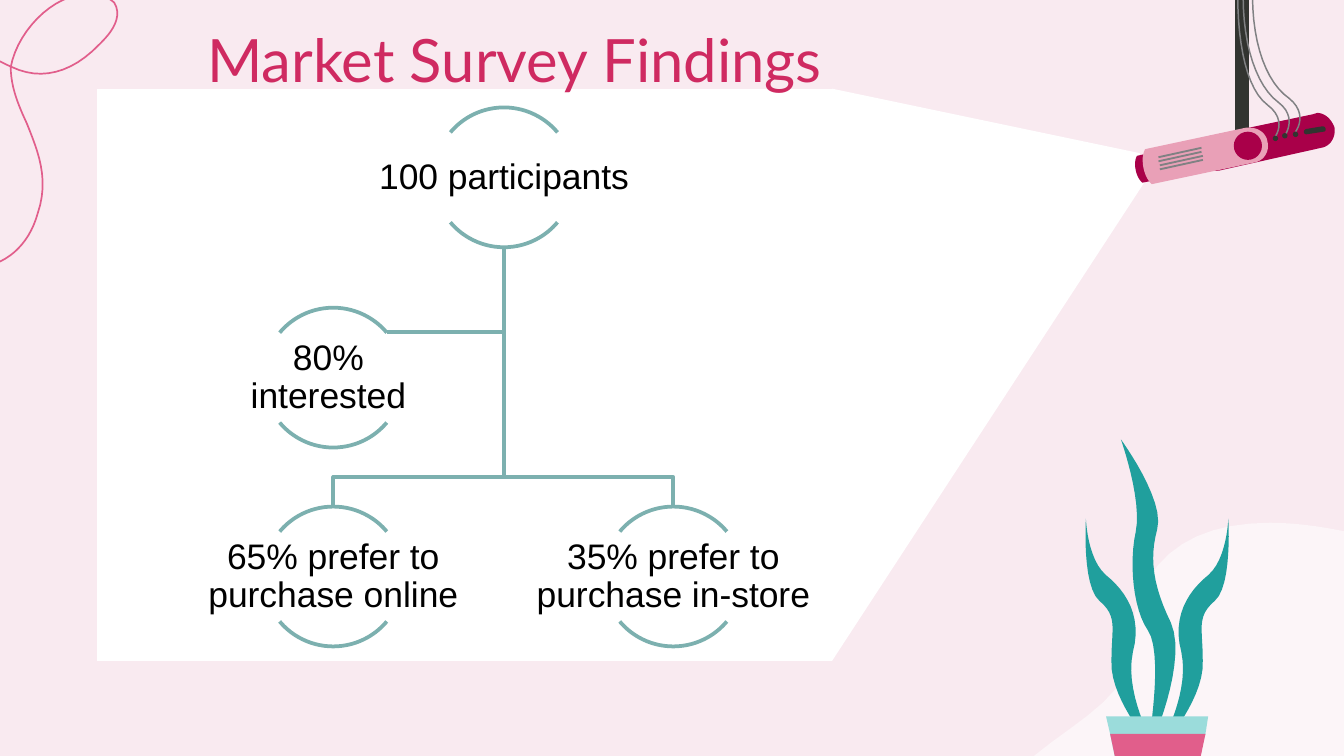
from dataclasses import dataclass

from lxml import etree
from pptx import Presentation
from pptx.dml.color import RGBColor
from pptx.enum.shapes import MSO_CONNECTOR, MSO_SHAPE
from pptx.enum.text import MSO_ANCHOR, PP_ALIGN
from pptx.oxml.ns import qn
from pptx.util import Inches, Pt

ARC, OVAL, STRAIGHT = MSO_SHAPE.ARC, MSO_SHAPE.OVAL, MSO_CONNECTOR.STRAIGHT
CENTER, MIDDLE, BOTTOM = PP_ALIGN.CENTER, MSO_ANCHOR.MIDDLE, MSO_ANCHOR.BOTTOM

COLORS = {
    "background": "F9EAF0", "white": "FFFFFF", "title": "CF2A61", "text": "000000",
    "diagram": "7CB0AF", "dark": "323430", "gray": "808183", "crimson": "A90049",
    "rose": "E9A0B7", "pink": "E15E8B", "leaf": "209F9D", "rim": "9BDCDB",
}
CURVE_STEPS = 12
NODE_SIZE = 1.04
LABEL_WIDTH, LABEL_HEIGHT = 2.09, 0.67


@dataclass
class Outline:
    """Two numbers in a step are a line end; six are a Bezier curve."""
    steps: list
    fill: str = ""
    line: str = ""
    width: float = 1
    closed: bool = True
    opacity: int = 100


@dataclass
class Node:
    text: str
    center: float
    top: float


def rgb(name: str) -> RGBColor:
    return RGBColor.from_string(COLORS[name])


def flatten(steps: list) -> list:
    points = [steps[0]]
    for step in steps[1:]:
        if len(step) == 2:
            points.append(step)
            continue
        x0, y0 = points[-1]
        x1, y1, x2, y2, x3, y3 = step
        for index in range(1, CURVE_STEPS + 1):
            t = index / CURVE_STEPS
            a, b, c, d = (1 - t) ** 3, 3 * t * (1 - t) ** 2, 3 * t * t * (1 - t), t ** 3
            points.append((a * x0 + b * x1 + c * x2 + d * x3,
                           a * y0 + b * y1 + c * y2 + d * y3))
    return points


def paint(shape, fill: str = "", line: str = "", width: float = 1) -> None:
    shape.shadow.inherit = False
    if fill:
        shape.fill.solid()
        shape.fill.fore_color.rgb = rgb(fill)
    else:
        shape.fill.background()
    if line:
        shape.line.color.rgb = rgb(line)
        shape.line.width = Pt(width)
    else:
        shape.line.fill.background()


def draw_outline(slide, outline: Outline) -> None:
    points = [(Inches(x), Inches(y)) for x, y in flatten(outline.steps)]
    builder = slide.shapes.build_freeform(*points[0])
    builder.add_line_segments(points[1:], close=outline.closed)
    shape = builder.convert_to_shape()
    paint(shape, outline.fill, outline.line, outline.width)
    if outline.opacity < 100:
        color = shape._element.spPr.find(qn("a:solidFill"))[0]
        etree.SubElement(color, qn("a:alpha"), val=str(outline.opacity * 1000))


def draw_oval(slide, left: float, top: float, width: float, height: float, fill: str) -> None:
    paint(slide.shapes.add_shape(OVAL, Inches(left), Inches(top), Inches(width), Inches(height)), fill)


def draw_line(slide, start: tuple, end: tuple, color: str, width: float) -> None:
    line = slide.shapes.add_connector(STRAIGHT, *[Inches(value) for value in start + end])
    line.line.color.rgb = rgb(color)
    line.line.width = Pt(width)
    etree.SubElement(line._element.spPr, qn("a:effectLst"))


def write_text(frame, text: str, font: dict, color: str, anchor, inset: float) -> None:
    frame_format = {"word_wrap": True, "vertical_anchor": anchor}
    frame_format |= {f"margin_{side}": Inches(inset) for side in ("left", "top", "right", "bottom")}
    for name, value in frame_format.items():
        setattr(frame, name, value)
    paragraph = frame.paragraphs[0]
    paragraph.text = text
    paragraph.alignment = CENTER
    paragraph.line_spacing = 0.9
    for run in paragraph.runs:
        for name, value in font.items():
            setattr(run.font, name, value)
        run.font.color.rgb = rgb(color)


def draw_node(slide, node: Node) -> None:
    for angles in ((132, 192), (24, 84)):
        arc = slide.shapes.add_shape(ARC, Inches(node.center - NODE_SIZE / 2), Inches(node.top),
                                     Inches(NODE_SIZE), Inches(NODE_SIZE))
        arc.adjustments[0], arc.adjustments[1] = angles
        paint(arc, line="diagram", width=2)
    label = slide.shapes.add_textbox(Inches(node.center - LABEL_WIDTH / 2), Inches(node.top + 0.19),
                                     Inches(LABEL_WIDTH), Inches(LABEL_HEIGHT))
    write_text(label.text_frame, node.text, {"name": "Arial", "size": Pt(19)}, "text", MIDDLE, 0.01)


def mirror(steps: list, axis: float) -> list:
    return [tuple(2 * axis - value if index % 2 == 0 else value for index, value in enumerate(step))
            for step in steps]


SCREEN = [
    Outline([(0.72, 0.66), (0.72, 4.92), (6.19, 4.92), (6.19, 0.66)], "white"),
    Outline([(6.19, 0.66), (8.48, 1.14), (8.52, 1.35), (6.19, 4.92)], "white"),
]
PROJECTOR = [
    Outline([(9.29, -0.15), (9.29, 1.04), (9.19, 1.04), (9.19, -0.15)], "dark"),
    Outline([(9.8, 0.84), (9.86, 0.84, 9.91, 0.89, 9.93, 0.95), (9.94, 1.02, 9.9, 1.09, 9.83, 1.1),
             (9.07, 1.27), (8.98, 1.28, 8.93, 1.23, 8.91, 1.16), (8.9, 1.09, 8.94, 1.02, 9.01, 1.01),
             (9.77, 0.85)], "crimson"),
    Outline([(9.84, 0.94), (9.87, 0.94, 9.87, 0.98, 9.85, 0.98), (9.72, 1),
             (9.7, 1, 9.69, 0.97, 9.72, 0.96)], "dark"),
    Outline([(9.07, 1.03), (9.12, 1.03, 9.17, 1.06, 9.18, 1.11), (9.19, 1.17, 9.15, 1.22, 9.1, 1.24),
             (8.5, 1.36), (8.45, 1.32, 8.43, 1.21, 8.46, 1.16), (9.05, 1.03)], "crimson"),
    Outline([(9.3, 0.95), (9.36, 0.95, 9.42, 0.99, 9.43, 1.05), (9.45, 1.13, 9.4, 1.2, 9.33, 1.21),
             (8.57, 1.37), (8.51, 1.32, 8.48, 1.18, 8.52, 1.11), (9.27, 0.95)], "rose"),
]
CABLES = [Outline(steps, line="gray", width=0.78, closed=False) for steps in (
    [(9.64, 0.98), (9.64, 0.98, 9.74, 0.85, 9.59, 0.73), (9.43, 0.62, 9.32, 0.34, 9.32, -0.03)],
    [(9.56, 1.01), (9.56, 1.01, 9.66, 0.87, 9.51, 0.76), (9.35, 0.64, 9.25, 0.34, 9.25, -0.03)],
    [(9.48, 1.03), (9.48, 1.03, 9.59, 0.9, 9.43, 0.78), (9.28, 0.67, 9.21, 0.34, 9.21, -0.03)],
)]
SOCKETS = [(9.62, 0.98), (9.54, 0.99), (9.47, 1.01)]
VENTS = [(8.62, 1.17), (8.62, 1.2), (8.63, 1.23), (8.63, 1.26)]

HILL = Outline([
    (12.26, 3.82), (11.97, 3.82, 11.69, 4.01, 11.33, 4.11), (11.1, 4.18, 10.81, 4.18, 10.56, 4.11),
    (10.15, 3.97, 9.77, 3.89, 9.45, 3.89), (8.83, 3.89, 8.41, 4.18, 8.41, 4.88),
    (8.36, 5.41, 7.27, 5.57, 7.27, 6.38), (7.27, 6.5, 7.29, 6.65, 7.38, 6.82), (13.13, 6.79),
    (13.15, 6.7, 13.17, 6.6, 13.16, 6.38), (13.12, 6.17, 13.02, 5.93, 12.74, 5.7),
    (12.51, 5.52, 12.54, 5.27, 12.62, 5.01), (12.72, 4.71, 12.84, 4.45, 12.82, 4.23),
    (12.79, 4.07, 12.71, 3.96, 12.54, 3.89), (12.45, 3.84, 12.35, 3.82, 12.26, 3.82),
], "white", opacity=54)
SIDE_LEAF = [
    (8.08, 3.86), (8.08, 3.86, 8.05, 4.36, 8.18, 4.47), (8.32, 4.59, 8.27, 4.67, 8.27, 4.92),
    (8.26, 5.16, 8.49, 5.45, 8.49, 5.45), (8.54, 5.45), (8.54, 5.45, 8.37, 5.12, 8.43, 4.85),
    (8.5, 4.59, 8.38, 4.4, 8.23, 4.28), (8.09, 4.16, 8.08, 3.86, 8.08, 3.86),
]
MIDDLE_LEAF = [
    (8.34, 3.27), (8.34, 3.27, 8.5, 3.72, 8.45, 3.96), (8.4, 4.19, 8.43, 4.53, 8.54, 4.69),
    (8.65, 4.84, 8.56, 5.43, 8.56, 5.43), (8.61, 5.43), (8.61, 5.43, 8.83, 4.89, 8.71, 4.63),
    (8.58, 4.36, 8.55, 4.16, 8.61, 3.94), (8.67, 3.72, 8.34, 3.27, 8.34, 3.27),
]
PLANT = [Outline(steps, "leaf") for steps in (SIDE_LEAF, mirror(SIDE_LEAF, 8.61), MIDDLE_LEAF)] + [
    Outline([(8.23, 5.33), (8.26, 5.46), (8.3, 5.65), (8.41, 6.02), (8.81, 6.02), (8.92, 5.65),
             (8.97, 5.46), (8.99, 5.33)], "rim"),
    Outline([(8.26, 5.46), (8.3, 5.65), (8.93, 5.65), (8.97, 5.46)], "pink"),
]
SCRIBBLE = Outline([
    (0.85, 0.02), (0.93, 0.15, 0.78, 0.29, 0.74, 0.33), (0.53, 0.55, 0.3, 0.6, 0.09, 0.5),
    (0.02, 0.47, -0.06, 0.43, -0.13, 0.37), (-0.22, 0.31, -0.29, 0.25, -0.33, 0.19),
    (-0.4, 0.1, -0.42, 0.03, -0.44, -0.04), (-0.46, -0.11, -0.48, -0.17, -0.55, -0.23),
    (-0.61, -0.24, -0.64, -0.2, -0.66, -0.16), (-0.71, -0.06, -0.71, 0.06, -0.67, 0.15),
    (-0.64, 0.2, -0.58, 0.24, -0.51, 0.24), (-0.45, 0.23, -0.39, 0.22, -0.33, 0.19),
    (-0.19, 0.11, -0.07, -0.01, -0.01, -0.13), (0.06, -0.26, 0.05, -0.41, -0.03, -0.52),
    (-0.11, -0.63, -0.25, -0.68, -0.41, -0.66), (-0.67, -0.62, -0.93, -0.44, -1.18, -0.13),
    (-1.46, 0.17, -1.56, 0.54, -1.48, 0.91), (-1.38, 1.35, -1.03, 1.73, -0.58, 1.92),
    (-0.4, 2.01, -0.2, 2.03, -0.03, 1.96), (0.12, 1.9, 0.23, 1.77, 0.28, 1.59),
    (0.37, 1.33, 0.28, 1.12, 0.2, 0.92), (0.14, 0.79, 0.08, 0.65, 0.08, 0.5),
    (0.12, 0.28, 0.31, 0.05, 0.52, -0.02), (0.64, -0.08, 0.76, -0.06, 0.85, 0.02),
], line="pink", width=0.9)

BRANCHES = [Outline(steps, line="diagram", width=2, closed=False) for steps in (
    [(3.75, 1.85), (3.75, 2.47), (2.88, 2.47)],
    *([(3.75, 1.85), (3.75, 3.55), (x, 3.55), (x, 3.77)] for x in (5.01, 2.48)),
)]
NODES = [
    Node("100 participants", 3.75, 0.8),
    Node("65% prefer to purchase online", 2.48, 3.77),
    Node("35% prefer to purchase in-store", 5.01, 3.77),
    Node("80% \vinterested ", 2.48, 2.29),
]


def main() -> None:
    presentation = Presentation()
    presentation.slide_width, presentation.slide_height = Inches(10), Inches(5.625)
    slide = presentation.slides.add_slide(presentation.slide_layouts[5])
    slide.background.fill.solid()
    slide.background.fill.fore_color.rgb = rgb("background")

    # Screen, projector and plant
    for outline in SCREEN + PROJECTOR + CABLES:
        draw_outline(slide, outline)
    for left, top in SOCKETS:
        draw_oval(slide, left, top, 0.04, 0.04, "dark")
    for x, y in VENTS:
        draw_line(slide, (x, y), (x + 0.32, y - 0.07), "gray", 1)
    draw_oval(slide, 9.18, 0.98, 0.21, 0.21, "crimson")
    for outline in [HILL, *PLANT, SCRIBBLE]:
        draw_outline(slide, outline)

    # Title, moved in front of the scenery
    title = slide.shapes.title
    title.left, title.top, title.width, title.height = [Inches(v) for v in (0.88, -1.46, 5.9, 2.26)]
    write_text(title.text_frame, "Market Survey Findings", {"name": "Lato", "size": Pt(32)},
               "title", BOTTOM, 0.1)
    title.text_frame.paragraphs[0].line_spacing = 1.0
    slide.shapes._spTree.append(title._element)

    # Survey tree
    for outline in BRANCHES:
        draw_outline(slide, outline)
    for node in NODES:
        draw_node(slide, node)
    presentation.save("out.pptx")


if __name__ == "__main__":
    main()
